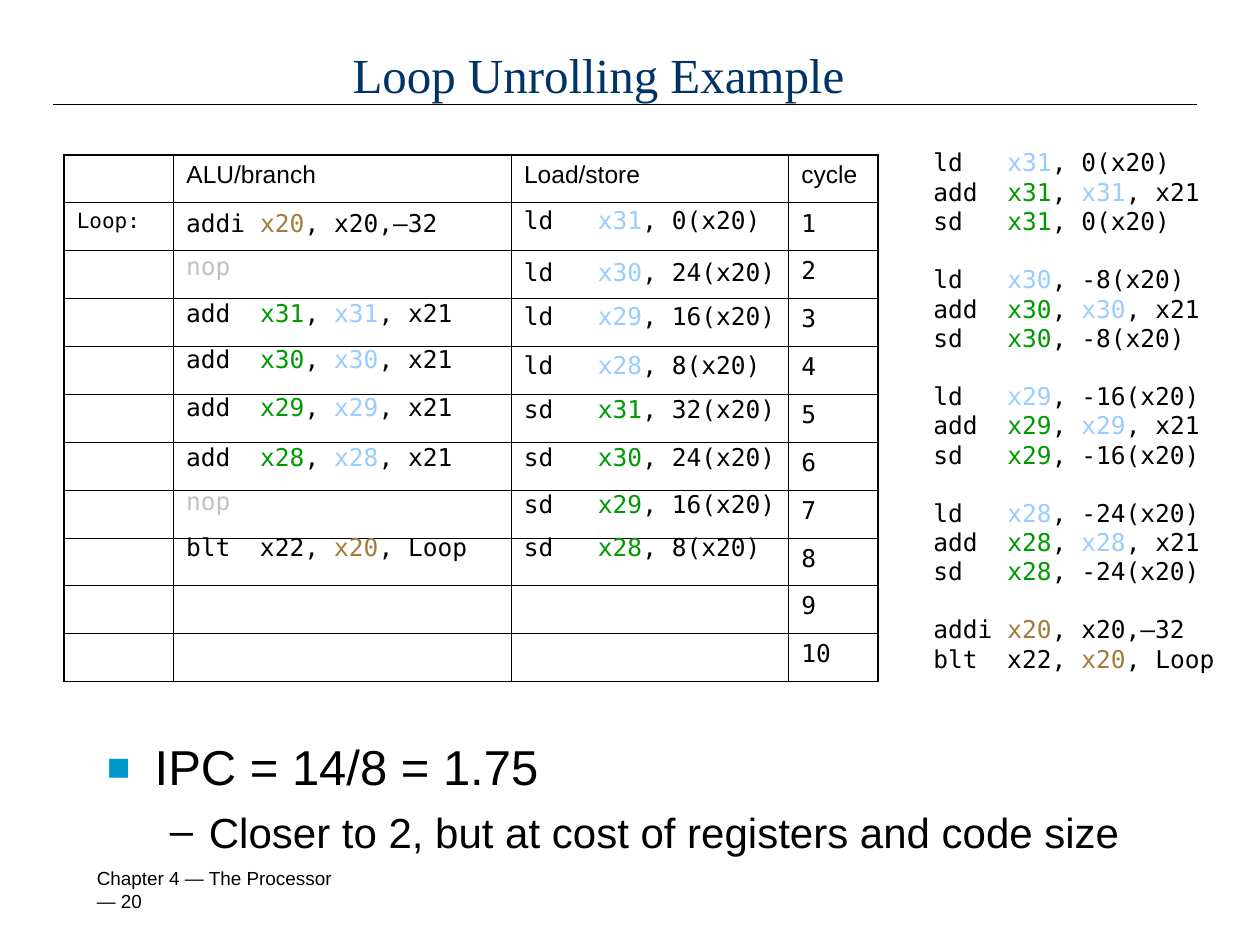
"""Build the loop unrolling slide: schedule table, unrolled code and IPC result."""
from lxml import etree
from pptx import Presentation
from pptx import util as u
from pptx.dml.color import RGBColor
from pptx.enum import shapes, text
from pptx.oxml.ns import qn

BLACK = RGBColor(0x00, 0x00, 0x00)
NAVY = RGBColor(0x00, 0x33, 0x66)
CYAN = RGBColor(0x00, 0x99, 0xCC)
BLUE = RGBColor(0x99, 0xCC, 0xFF)
GREEN = RGBColor(0x00, 0x99, 0x00)
BROWN = RGBColor(0xA4, 0x7B, 0x38)
GRAY = RGBColor(0xC0, 0xC0, 0xC0)
SANS, SERIF, MONO = "Arial", "Times New Roman", "DejaVu Sans Mono"

OPERAND_COLORS = {"ld": [BLUE], "sd": [GREEN], "add": [GREEN, BLUE],
                  "addi": [BROWN], "blt": [BLACK, BROWN]}
HEADER = ["", "ALU/branch", "Load/store", "cycle"]
ALU = [(1.6, "addi x20, x20,–32"), (1.94, "nop"), (2.32, "add x31, x31, x21"),
       (2.68, "add x30, x30, x21"), (3.06, "add x29, x29, x21"),
       (3.46, "add x28, x28, x21"), (3.81, "nop"), (4.17, "blt x22, x20, Loop")]
MEMORY = [(1.58, "ld x31, 0(x20)"), (1.99, "ld x30, 24(x20)"),
          (2.34, "ld x29, 16(x20)"), (2.73, "ld x28, 8(x20)"),
          (3.08, "sd x31, 32(x20)"), (3.46, "sd x30, 24(x20)"),
          (3.83, "sd x29, 16(x20)"), (4.17, "sd x28, 8(x20)")]
UNROLLED = [("x31", 0), ("x30", -8), ("x29", -16), ("x28", -24)]
LOOP_END = ["addi x20, x20,–32", "blt x22, x20, Loop"]
BULLETS = [("IPC = 14/8 = 1.75", 28, 0.38, -0.38, "■", CYAN, 80),
           ("Closer to 2, but at cost of registers and code size", 24, 0.81, -0.31, "–", BLACK, 100)]
COLUMNS = [0.87, 2.68, 2.2, 0.71]
CYCLES, ROW = 10, 0.38
THIN, MEDIUM, THICK = 0.45, 0.75, 1.08


def add_run(p, words, size, font=SANS, color=BLACK):
    r = p.add_run()
    r.text = words
    r.font.size, r.font.name = u.Pt(size), font
    r.font.color.rgb = color


def add_box(s, left, top, width, height):
    tf = s.shapes.add_textbox(*map(u.Inches, (left, top, width, height))).text_frame
    tf.word_wrap = True
    return tf


def add_code(p, line):
    op, _, rest = line.partition(" ")
    if not rest:
        add_run(p, op, 14, MONO, GRAY)
        return
    add_run(p, f"{op:<5}", 14, MONO)
    colors = OPERAND_COLORS[op]
    for i, operand in enumerate(rest.split(", ")):
        if i:
            add_run(p, ", ", 14, MONO)
        add_run(p, operand, 14, MONO, colors[i] if i < len(colors) else BLACK)


def set_indent(p, margin, indent=0):
    pPr = p._p.get_or_add_pPr()
    pPr.set("marL", str(u.Inches(margin)))
    pPr.set("indent", str(u.Inches(indent)))
    return pPr


def set_bullet(pPr, char, color, percent):
    clr = etree.SubElement(pPr, qn("a:buClr"))
    etree.SubElement(clr, qn("a:srgbClr"), val=str(color))
    etree.SubElement(pPr, qn("a:buSzPct"), val=str(percent * 1000))
    etree.SubElement(pPr, qn("a:buFont"), typeface=SANS)
    etree.SubElement(pPr, qn("a:buChar"), char=char)


def set_borders(cell, widths):
    tcPr = cell._tc.get_or_add_tcPr()
    for side, width in zip("LRTB", widths):
        ln = etree.SubElement(tcPr, qn(f"a:ln{side}"), w=str(u.Pt(width)))
        fill = etree.SubElement(ln, qn("a:solidFill"))
        etree.SubElement(fill, qn("a:srgbClr"), val=str(BLACK))
    cell.fill.background()


def add_schedule(s):
    rows = [HEADER] + [["Loop:" if n == 1 else "", "", "", str(n)] for n in range(1, CYCLES + 1)]
    last = len(COLUMNS) - 1
    table = s.shapes.add_table(len(rows), len(COLUMNS), u.Inches(0.51), u.Inches(1.23),
                               u.Inches(sum(COLUMNS)), u.Inches(ROW * len(rows))).table
    table.first_row = table.horz_banding = False
    for column, width in zip(table.columns, COLUMNS):
        column.width = u.Inches(width)
    for i, row in enumerate(rows):
        table.rows[i].height = u.Inches(ROW)
        for j, words in enumerate(row):
            cell = table.cell(i, j)
            p = cell.text_frame.paragraphs[0]
            if words:
                add_run(p, words, 12 if words == "Loop:" else 14, MONO if i else SANS)
            else:
                etree.SubElement(p._p, qn("a:endParaRPr"), sz="1400")
            set_borders(cell, (THICK if j == 0 else THIN, THICK if j == last else THIN,
                               {0: THICK, 1: MEDIUM}.get(i, THIN), MEDIUM if i == 0 else THIN))


def add_listing(s):
    groups = [[f"ld {reg}, {off}(x20)", f"add {reg}, {reg}, x21", f"sd {reg}, {off}(x20)"]
              for reg, off in UNROLLED] + [LOOP_END]
    tf = add_box(s, 6.81, 1.06, 3.19, 5.07)
    tf.margin_top = u.Inches(0.11)
    for i, group in enumerate(groups):
        p = tf.add_paragraph() if i else tf.paragraphs[0]
        set_indent(p, 0.5)
        if i:
            p.space_before = u.Pt(16.3)
        for k, line in enumerate(group):
            if k:
                p.add_line_break()
            add_code(p, line)


def main():
    prs = Presentation()
    prs.slide_width, prs.slide_height = u.Inches(10), u.Inches(7.5)
    s = prs.slides.add_slide(prs.slide_layouts[6])

    rule = s.shapes.add_connector(shapes.MSO_CONNECTOR.STRAIGHT, *map(u.Inches, (0.42, 0.83, 9.5, 0.83)))
    rule.line.color.rgb, rule.line.width = BLACK, u.Pt(0.75)
    etree.SubElement(rule._element.spPr, qn("a:effectLst"))

    add_run(add_box(s, 0.67, 6.83, 2.08, 0.5).paragraphs[0], "Chapter 4 — The Processor — 20", 10.8)

    tf = add_box(s, 0.5, 0.17, 8.5, 0.83)
    tf.vertical_anchor = text.MSO_ANCHOR.MIDDLE
    tf.paragraphs[0].alignment = text.PP_ALIGN.CENTER
    add_run(tf.paragraphs[0], "Loop Unrolling Example", 28, SERIF, NAVY)

    tf = add_box(s, 0.75, 5.8, 9.04, 1.47)
    for i, (words, size, margin, indent, char, color, percent) in enumerate(BULLETS):
        p = tf.add_paragraph() if i else tf.paragraphs[0]
        set_bullet(set_indent(p, margin, indent), char, color, percent)
        if i:
            p.level, p.space_before = 1, u.Pt(6)
        add_run(p, words, size)

    add_schedule(s)
    add_listing(s)
    for left, width, slots in ((4.06, 2.25, MEMORY), (1.38, 2.5, ALU)):
        for top, line in slots:
            add_code(add_box(s, left, top, width, 0.34).paragraphs[0], line)

    prs.save("out.pptx")


if __name__ == "__main__":
    main()
